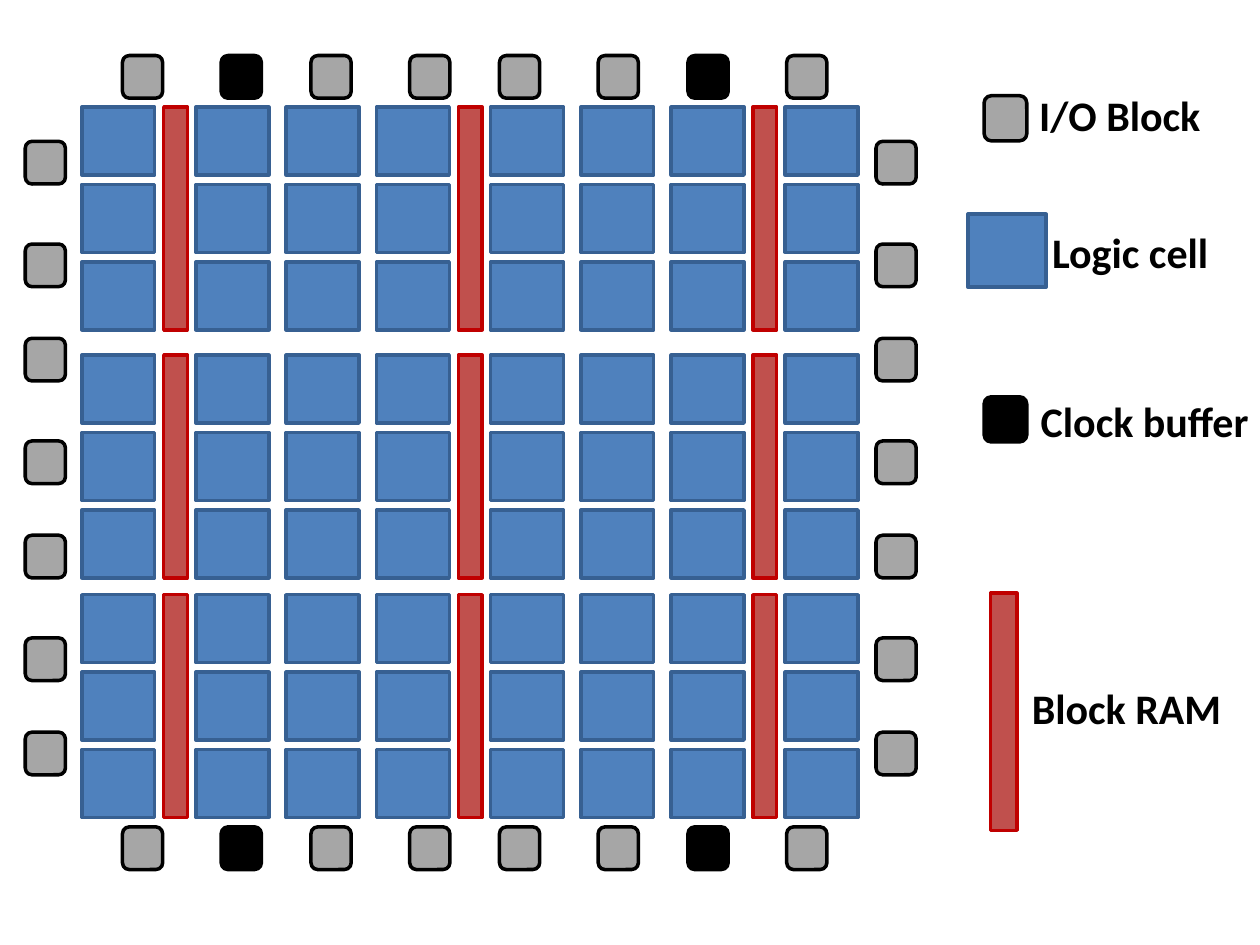
from pptx import Presentation
from pptx.dml.color import RGBColor
from pptx.enum import shapes, text
from pptx.util import Cm, Pt

FONT = "Calibri"
COLORS = {
    "cell": "4F81BD", "cell_line": "376092",
    "ram": "C0504D", "ram_line": "C00000",
    "io": "A6A6A6", "black": "000000",
}
RECTANGLE = shapes.MSO_SHAPE.RECTANGLE
ROUNDED = shapes.MSO_SHAPE.ROUNDED_RECTANGLE

# Kind of part: preset shape, fill, line
PARTS = {
    "cell": (RECTANGLE, "cell", "cell_line"),
    "ram": (RECTANGLE, "ram", "ram_line"),
    "io": (ROUNDED, "io", "black"),
    "clock": (ROUNDED, "black", "black"),
}


def color(name):
    return RGBColor.from_string(COLORS[name])


def add_part(slide, kind, left, top, width, height):
    """Draw one part of the chip; lengths are in centimetres."""
    preset, fill, line = PARTS[kind]
    shape = slide.shapes.add_shape(preset, Cm(left), Cm(top), Cm(width), Cm(height))
    shape.shadow.inherit = False
    shape.fill.solid()
    shape.fill.fore_color.rgb = color(fill)
    shape.line.color.rgb = color(line)
    shape.line.width = Pt(2)


def add_label(slide, caption, left, top, width, height):
    box = slide.shapes.add_textbox(Cm(left), Cm(top), Cm(width), Cm(height))
    frame = box.text_frame
    frame.word_wrap = False
    frame.auto_size = text.MSO_AUTO_SIZE.SHAPE_TO_FIT_TEXT
    frame.text = caption
    font = frame.paragraphs[0].runs[0].font
    font.name, font.size, font.bold = FONT, Pt(24), True
    font.color.rgb = color("black")


def add_fabric(slide, left, top):
    """Three bands of logic cells, with block RAM after columns 0, 3 and 6."""
    cell_width, cell_height = 1.47, 1.37
    column_pitch, row_pitch = 1.82, 1.56
    ram_width, ram_height = 0.48, 4.49
    ram_columns = (0, 3, 6)

    for band_top in (top, top + 5, top + 9.83):
        x = left
        for column in range(8):
            for row in range(3):
                add_part(slide, "cell", x, band_top + row * row_pitch,
                         cell_width, cell_height)
            if column in ram_columns:
                add_part(slide, "ram", x + 1.65, band_top, ram_width, ram_height)
                x += ram_width
            x += column_pitch


def add_pads(slide, left, top, width, height):
    """I/O blocks and clock buffers along the four edges, spaced in pairs."""
    pad_width, pad_height = 0.81, 0.86

    # Left and right edges
    for x in (left, left + width - pad_width):
        for index in range(7):
            pair, second = divmod(index, 2)
            y = top + 1.73 + pair * 3.97 + second * 2.07
            add_part(slide, "io", x, y, pad_width, pad_height)

    # Top and bottom edges
    for y in (top, top + height - pad_height):
        for index in range(8):
            pair, second = divmod(index, 2)
            x = left + 1.96 + pair * 3.8 + second * 1.99
            kind = "clock" if index in (1, 6) else "io"
            add_part(slide, kind, x, y, pad_width, pad_height)


def add_chip(slide, left, top, width, height):
    add_fabric(slide, left + 1.14, top + 1.04)
    add_pads(slide, left, top, width, height)


def add_legend(slide, left, top):
    # Kind, swatch box, caption, caption box
    entries = [
        ("io", (0.33, 0.25, 0.86, 0.91), "I/O Block", (1.19, 0, 3.78, 1.27)),
        ("cell", (0, 2.64, 1.58, 1.47), "Logic cell", (1.45, 2.77, 3.71, 1.27)),
        ("clock", (0.33, 6.32, 0.86, 0.91), "Clock buffer", (1.22, 6.17, 4.78, 1.27)),
        ("ram", (0.46, 10.28, 0.53, 4.78), "Block RAM", (1.04, 11.96, 4.37, 1.27)),
    ]
    for kind, (x, y, *size), caption, (label_x, label_y, *label_size) in entries:
        add_part(slide, kind, left + x, top + y, *size)
        add_label(slide, caption, left + label_x, top + label_y, *label_size)


def main():
    presentation = Presentation()
    presentation.slide_width, presentation.slide_height = Cm(25.4), Cm(19.05)
    slide = presentation.slides.add_slide(presentation.slide_layouts[6])
    add_chip(slide, 0.51, 1.12, 17.96, 16.41)
    add_legend(slide, 19.51, 1.68)
    presentation.save("out.pptx")


if __name__ == "__main__":
    main()
